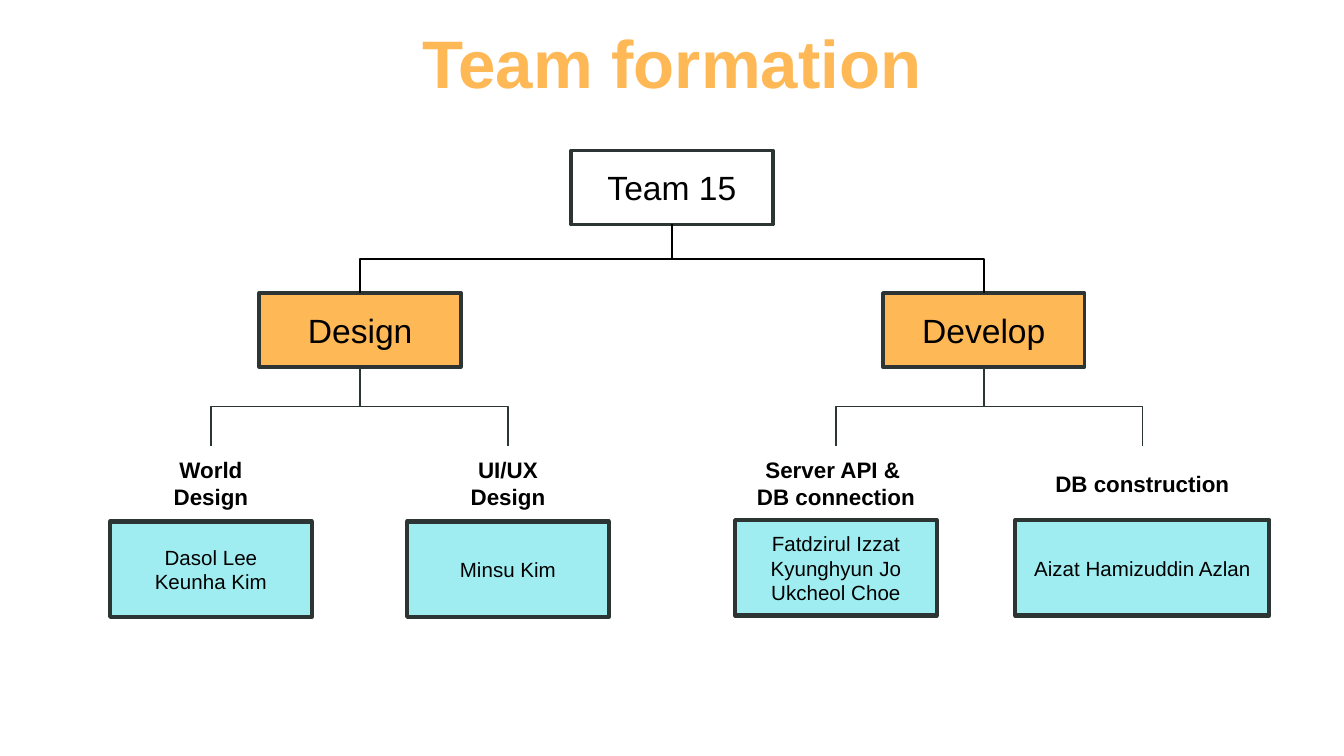
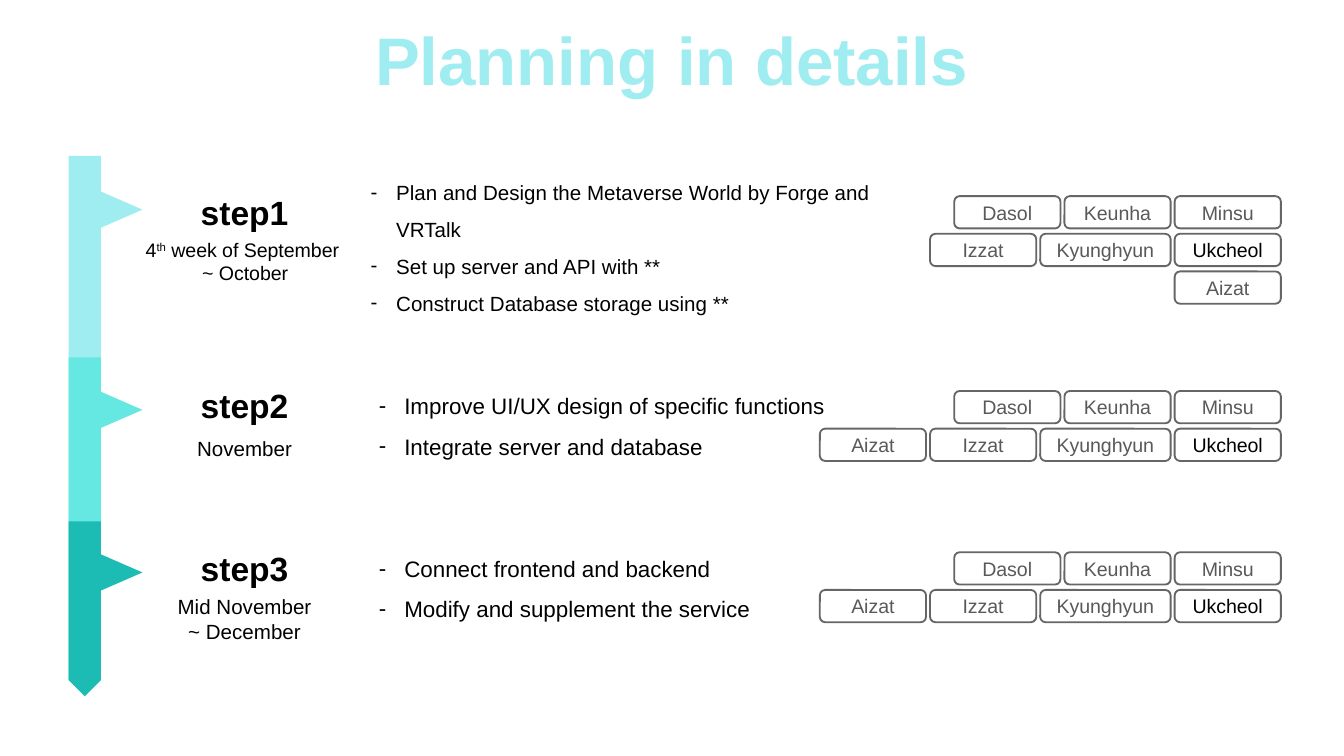
from lxml import etree
from pptx import Presentation
from pptx.dml.color import RGBColor
from pptx.enum import shapes, text
from pptx.oxml.ns import qn
from pptx.util import Inches, Pt

ORANGE = RGBColor(0xFE, 0xB8, 0x56)
AQUA = RGBColor(0x9F, 0xED, 0xF0)
TURQUOISE = RGBColor(0x65, 0xE8, 0xE2)
TEAL = RGBColor(0x1C, 0xBB, 0xB4)
SLATE = RGBColor(0x2C, 0x34, 0x34)
GREY = RGBColor(0x66, 0x66, 0x66)
DARK_GREY = RGBColor(0x59, 0x59, 0x59)
BLACK = RGBColor(0, 0, 0)
WHITE = RGBColor(0xFF, 0xFF, 0xFF)
FONT = "Arial"
SHAPE = shapes.MSO_SHAPE


def put(s, box, content="", preset=None, fill=None, line=None, weight=1.0,
        size=11, color=BLACK, bold=False, bullets=False, rotation=0):
    """Add a text box or preset shape; a newline starts a paragraph, ^ toggles superscript."""
    box = [Inches(v) for v in box]
    if preset is None:
        sp = s.shapes.add_textbox(*box)
    else:
        sp = s.shapes.add_shape(preset, *box)
        sp.shadow.inherit = False
        sp.rotation = rotation
        if fill is None:
            sp.fill.background()
        else:
            sp.fill.solid()
            sp.fill.fore_color.rgb = fill
        if line is None:
            sp.line.fill.background()
        else:
            sp.line.color.rgb = line
            sp.line.width = Pt(weight)
    if not content:
        return sp
    tf = sp.text_frame
    tf.word_wrap = True
    tf.vertical_anchor = text.MSO_ANCHOR.MIDDLE
    tf.margin_top = tf.margin_bottom = 0
    tf.margin_left = tf.margin_right = Inches(0.1 if bullets else 0)
    for i, words in enumerate(content.split("\n")):
        p = tf.paragraphs[0] if i == 0 else tf.add_paragraph()
        p.alignment = text.PP_ALIGN.LEFT if bullets else text.PP_ALIGN.CENTER
        if bullets:
            p.line_spacing = 1.5
            pPr = p._p.get_or_add_pPr()
            pPr.set("marL", str(Inches(0.19)))
            pPr.set("indent", str(-Inches(0.19)))
            etree.SubElement(pPr, qn("a:buFont")).set("typeface", FONT)
            etree.SubElement(pPr, qn("a:buChar")).set("char", "-")
        for j, part in enumerate(words.split("^")):
            r = p.add_run()
            r.text = part
            r.font.name = FONT
            r.font.size = Pt(size)
            r.font.bold = bold
            r.font.color.rgb = color
            if j % 2:
                r.font._element.set("baseline", "30000")
    return sp


def branch(s, parent, child, color):
    """Join parent's bottom to child's top with an elbow that turns halfway down."""
    c = s.shapes.add_connector(shapes.MSO_CONNECTOR.ELBOW, 0, 0, 0, 0)
    c.begin_connect(parent, 2)
    c.end_connect(child, 0)
    x1, y1 = parent.left + parent.width // 2, parent.top + parent.height
    x2, y2 = child.left + child.width // 2, child.top
    # The elbow is laid out sideways, then turned about its centre.
    c.width, c.height = y2 - y1, abs(x2 - x1)
    c.left = (x1 + x2 - c.width) // 2
    c.top = (y1 + y2 - c.height) // 2
    xfrm = c._element.spPr.find(qn("a:xfrm"))
    goes_left = x2 < x1
    xfrm.set("rot", str((90 if goes_left else 270) * 60000))
    xfrm.set("flipH", "0" if goes_left else "1")
    xfrm.set("flipV", "0")
    c.line.color.rgb = color
    c.line.width = Pt(1)
    etree.SubElement(c._element.spPr, qn("a:effectLst"))


prs = Presentation()
prs.slide_width = Inches(10)
prs.slide_height = Inches(10) * 9 // 16
slides = []
for title, top, color in [("Team formation", 0.03, ORANGE),
                          ("Planning in details", 0.01, AQUA)]:
    s = prs.slides.add_slide(prs.slide_layouts[6])
    put(s, (0, top, 10, 0.85), title, size=36, color=color, bold=True)
    slides.append(s)

# Team formation: an organisation chart, each box given by its centre
s = slides[0]
BOX_W, BOX_H = 1.5, 0.55
team = put(s, (5 - BOX_W / 2, 1.12, BOX_W, BOX_H), "Team 15", SHAPE.RECTANGLE,
           line=SLATE, weight=2, size=18)
groups = [
    ("Design", 2.68, 3.88, [
        ("World\nDesign", 1.57, 1.5, "Dasol Lee\nKeunha Kim"),
        ("UI/UX\nDesign", 3.78, 1.5, "Minsu Kim")]),
    ("Develop", 7.32, 3.87, [
        ("Server API & \nDB connection", 6.22, 1.5,
         "Fatdzirul Izzat\nKyunghyun Jo\nUkcheol Choe"),
        ("DB construction", 8.5, 1.89, "Aizat Hamizuddin Azlan")]),
]
for name, x, members_top, roles in groups:
    group = put(s, (x - BOX_W / 2, 2.18, BOX_W, BOX_H), name, SHAPE.RECTANGLE,
                fill=ORANGE, line=SLATE, weight=2, size=18)
    branch(s, team, group, BLACK)
    for role, role_x, width, members in roles:
        label = put(s, (role_x - BOX_W / 2, 3.32, BOX_W, BOX_H), role, size=12, bold=True)
        put(s, (role_x - width / 2, members_top, width, 0.71), members, SHAPE.RECTANGLE,
            fill=AQUA, line=SLATE, weight=2.25)
        branch(s, group, label, SLATE)

# Planning in details: a timeline with tasks and people
s = slides[1]
BAR_X, BAR_W, BAR_END = 0.63, 0.24, 5.18
CHIP_RIGHT, CHIP_H, CHIP_GAP, ROW_PITCH = 9.53, 0.24, 0.03, 0.28
first_row = ["Dasol", "Keunha", "Minsu"]
second_row = ["Izzat", "Kyunghyun", "Ukcheol"]
full_rows = [first_row, ["Aizat"] + second_row]
steps = [
    dict(color=AQUA, bar=1.16, flag=1.56, head=1.39, chips=1.46,
         when="4^th^ week of September \n~ October", when_box=(0.96, 1.76, 1.73, 0.37),
         when_size=10.5, task_box=(2.66, 1.39, 4.4, 0.81), task_size=11,
         tasks="Plan and Design the Metaverse World by Forge and VRTalk\n"
               "Set up server and API with **\nConstruct Database storage using **",
         rows=[first_row, second_row, ["Aizat"]]),
    dict(color=TURQUOISE, bar=2.66, flag=3.05, head=2.83, chips=2.91,
         when="November", when_box=(1.15, 3.15, 1.34, 0.37),
         when_size=11, task_box=(2.72, 2.81, 3.6, 0.62), task_size=12,
         tasks="Improve UI/UX design of specific functions\nIntegrate server and database",
         rows=full_rows),
    dict(color=TEAL, bar=3.88, flag=4.26, head=4.04, chips=4.11,
         when="Mid November\n~ December", when_box=(1.15, 4.42, 1.34, 0.37),
         when_size=11, task_box=(2.72, 4.01, 3, 0.64), task_size=12,
         tasks="Connect frontend and backend\nModify and supplement the service",
         rows=full_rows),
]
for number, step in enumerate(steps, 1):
    length = BAR_END - step["bar"]
    middle = (BAR_END + step["bar"]) / 2
    put(s, (BAR_X - length / 2, middle - BAR_W / 2, length, BAR_W),
        preset=SHAPE.PENTAGON, fill=step["color"], rotation=90)
    put(s, (0.77, step["flag"] - 0.31 / 2, 0.27, 0.31),
        preset=SHAPE.ISOSCELES_TRIANGLE, fill=step["color"], rotation=90)
    put(s, (1.15, step["head"], 1.34, 0.37), f"step{number}", size=18, bold=True)
    put(s, step["when_box"], step["when"], size=step["when_size"])
    put(s, step["task_box"], step["tasks"], size=step["task_size"], bullets=True)
    for row, names in enumerate(step["rows"]):
        right = CHIP_RIGHT
        for name in reversed(names):
            width = 0.97 if name == "Kyunghyun" else 0.79
            put(s, (right - width, step["chips"] + row * ROW_PITCH, width, CHIP_H), name,
                SHAPE.ROUNDED_RECTANGLE, fill=WHITE, line=GREY, size=10.5,
                color=BLACK if name == "Ukcheol" else DARK_GREY)
            right -= width + CHIP_GAP

prs.save("out.pptx")
